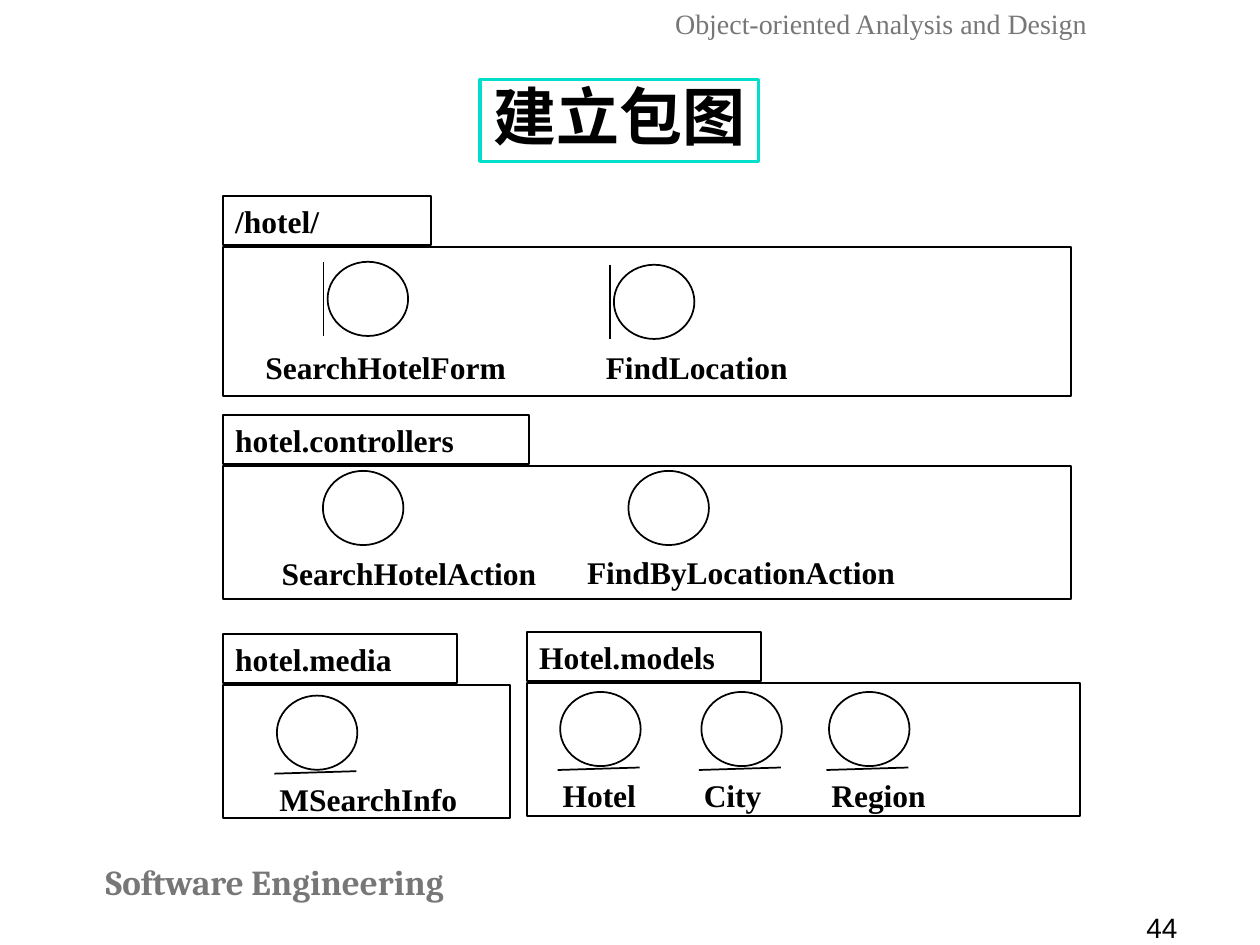
import pptx
from lxml import etree
from pptx.dml.color import RGBColor
from pptx.enum.shapes import MSO_CONNECTOR, MSO_SHAPE
from pptx.enum.text import MSO_ANCHOR, MSO_AUTO_SIZE, PP_ALIGN
from pptx.oxml.ns import qn
from pptx.util import Pt

COLORS = {"ink": "000000", "grey": "777777", "frame": "00DFCA", "paper": "FFFFFF"}
SERIF = "Times New Roman"
TAB_HEIGHT, BODY_OFFSET = 28.1, 29.2
CIRCLE_WIDTH, CIRCLE_HEIGHT = 46, 42.4


def write(shape, text, size=18, font=SERIF, color="ink", bold=True, align=PP_ALIGN.LEFT):
    para = shape.text_frame.paragraphs[0]
    para.text = text
    para.alignment = align
    span = para.runs[0]
    span.font.size, span.font.name, span.font.bold = Pt(size), font, bold
    span.font.color.rgb = RGBColor.from_string(COLORS[color])


def add_outline(shapes, preset, left, top, width, height):
    """Add an unfilled preset shape with a thin black outline."""
    shape = shapes.add_shape(preset, Pt(left), Pt(top), Pt(width), Pt(height))
    shape.shadow.inherit = False
    shape.fill.background()
    shape.line.color.rgb = RGBColor.from_string(COLORS["ink"])
    shape.line.width = Pt(1)
    return shape


deck = pptx.Presentation()
deck.slide_width, deck.slide_height = Pt(720), Pt(540)
page = deck.slides.add_slide(deck.slide_layouts[5])

# Running header, footer and page number
# text, left, top, width, height, size, font, color, bold, align
furniture = [
    ("Software Engineering", 41.8, 488.2, 230.4, 31, 20, "Cambria", "grey", True, PP_ALIGN.CENTER),
    ("44", 648, 517, 60, 28.8, 16, "Arial", "ink", False, PP_ALIGN.LEFT),
    ("Object-oriented Analysis and Design", 378.7, 0, 262, 26, 16, SERIF, "grey", False, PP_ALIGN.LEFT),
]
for text, left, top, width, height, *style in furniture:
    box = page.shapes.add_textbox(Pt(left), Pt(top), Pt(width), Pt(height))
    box.text_frame.word_wrap = True
    write(box, text, *style)

# Title
title = page.shapes.title
title.left, title.top, title.width, title.height = Pt(274.3), Pt(45.4), Pt(159.1), Pt(46.8)
title.fill.solid()
title.fill.fore_color.rgb = RGBColor.from_string(COLORS["paper"])
title.line.color.rgb = RGBColor.from_string(COLORS["frame"])
title.line.width = Pt(2)
title.text_frame.auto_size = MSO_AUTO_SIZE.NONE
title.text_frame.vertical_anchor = MSO_ANCHOR.MIDDLE
write(title, "建立包图", 36, align=PP_ALIGN.CENTER)
title.text_frame.paragraphs[0].line_spacing = 0.9

# Packages: name, left, top, tab width, body width, body height
packages = [
    ("/hotel/", 127.3, 111.9, 118.8, 484.6, 85),
    ("hotel.controllers", 127.3, 237, 175, 484.6, 76.2),
    ("hotel.media", 127.3, 362.2, 133.9, 164.2, 76.2),
    ("Hotel.models", 301, 361, 133.9, 316.1, 76.2),
]
for name, left, top, tab_width, body_width, body_height in packages:
    add_outline(page.shapes, MSO_SHAPE.RECTANGLE, left, top + BODY_OFFSET, body_width, body_height)
    tab = add_outline(page.shapes, MSO_SHAPE.RECTANGLE, left, top, tab_width, TAB_HEIGHT)
    tab.text_frame.vertical_anchor = MSO_ANCHOR.TOP
    write(tab, name)

# Stereotype marks: line start and end, measured from the circle's top left
marks = {
    "boundary": (-2.3, 0, -2.3, CIRCLE_HEIGHT),
    "control": None,
    "entity": (-1.4, 44.6, 45.4, 43.2),
}

# Classes: name, stereotype, circle left and top, label left, top and width.
# Label widths leave a little slack so that each name stays on one line.
classes = [
    ("SearchHotelForm", "boundary", 187.2, 149.6, 144.5, 195.1, 156),
    ("FindLocation", "boundary", 350.8, 151.3, 339.1, 195.1, 122),
    ("SearchHotelAction", "control", 184.5, 269.1, 153.9, 312.8, 164),
    ("FindByLocationAction", "control", 359.1, 269.1, 328.4, 312.4, 194),
    ("MSearchInfo", "entity", 158.2, 397.5, 152.6, 442.2, 120),
    ("Hotel", "entity", 320.1, 395.4, 314.4, 440, 60),
    ("City", "entity", 400.8, 395.4, 395.1, 440, 52),
    ("Region", "entity", 473.7, 395.4, 468, 440, 72),
]
for name, stereotype, left, top, label_left, label_top, label_width in classes:
    group = page.shapes.add_group_shape()
    add_outline(group.shapes, MSO_SHAPE.OVAL, left, top, CIRCLE_WIDTH, CIRCLE_HEIGHT)
    if marks[stereotype]:
        x1, y1, x2, y2 = marks[stereotype]
        mark = group.shapes.add_connector(
            MSO_CONNECTOR.STRAIGHT, Pt(left + x1), Pt(top + y1), Pt(left + x2), Pt(top + y2))
        mark.line.color.rgb = RGBColor.from_string(COLORS["ink"])
        mark.line.width = Pt(1)
        etree.SubElement(mark._element.spPr, qn("a:effectLst"))
    label = group.shapes.add_textbox(Pt(label_left), Pt(label_top), Pt(label_width), Pt(28.8))
    label.text_frame.word_wrap = True
    write(label, name)

deck.save("out.pptx")
